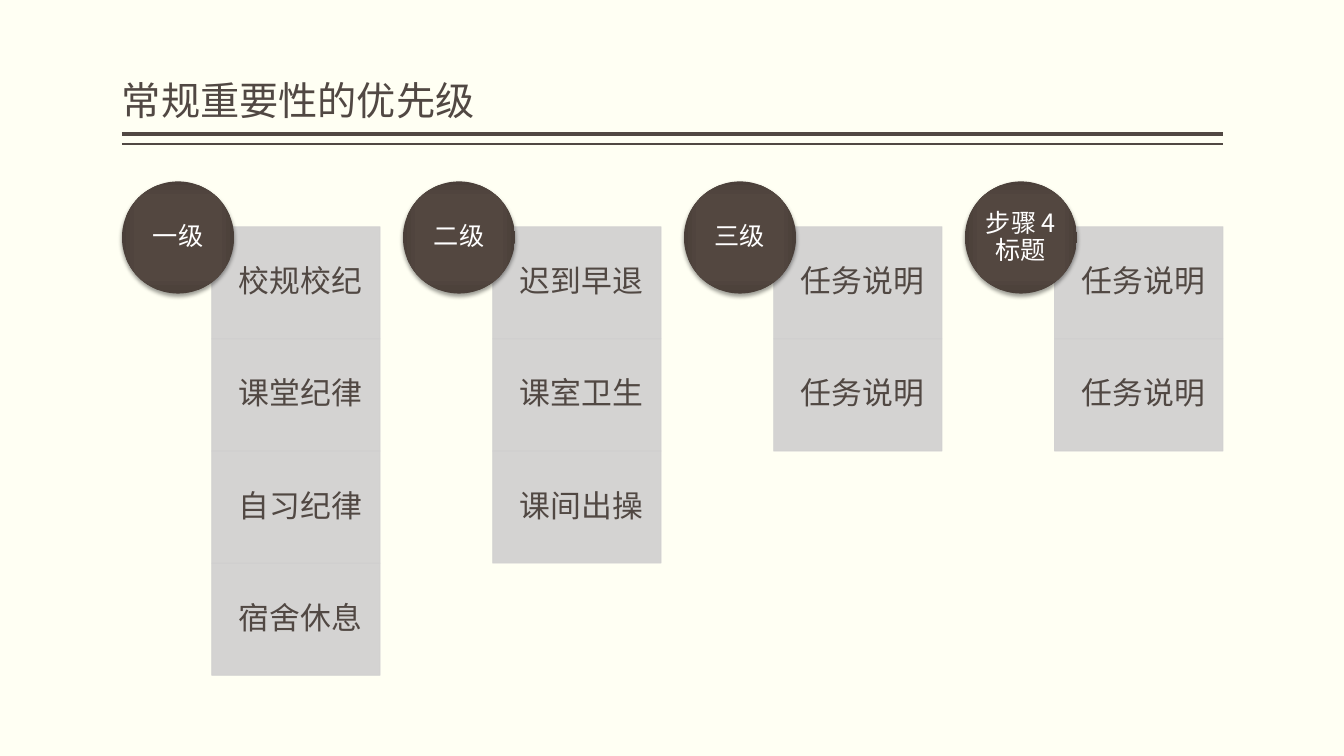
import pptx
import pptx.dml.color
import pptx.enum.shapes
import pptx.enum.text
import pptx.oxml
import pptx.oxml.ns
import pptx.util
from lxml import etree

Inches = pptx.util.Inches
RGBColor = pptx.dml.color.RGBColor
Shape = pptx.enum.shapes.MSO_SHAPE
Align = pptx.enum.text.PP_ALIGN
Anchor = pptx.enum.text.MSO_ANCHOR
qn = pptx.oxml.ns.qn

CREAM = RGBColor(0xFF, 0xFF, 0xF3)
BROWN = RGBColor(0x51, 0x48, 0x43)
GREY = RGBColor(0xD0, 0xCF, 0xCF)
WHITE = RGBColor(0xFF, 0xFF, 0xFF)
BADGE_STOPS = [
    (0, RGBColor(0x54, 0x47, 0x40)),
    (71, RGBColor(0x53, 0x47, 0x40)),
    (100, RGBColor(0x4A, 0x3F, 0x39)),
]
FONT = "Noto Sans CJK SC"

LEFT, RIGHT = 1.21, 12.13
BADGE_TOP, TASK_TOP, TASK_BOTTOM = 1.8, 2.25, 6.7
TASK_OFFSET, TASK_WIDTH = 0.89, 1.67
ROW = (TASK_BOTTOM - TASK_TOP) / 4

LEVELS = [
    ("一级", ["校规校纪", "课堂纪律", "自习纪律", "宿舍休息"]),
    ("二级", ["迟到早退", "课室卫生", "课间出操"]),
    ("三级", ["任务说明", "任务说明"]),
    ("步骤 4 标题", ["任务说明", "任务说明"]),
]


def write(shape, text, size, color, align=Align.LEFT, anchor=Anchor.MIDDLE, insets=(0, 0, 0, 0)):
    frame = shape.text_frame
    frame.word_wrap = True
    frame.vertical_anchor = anchor
    frame.margin_left, frame.margin_top, frame.margin_right, frame.margin_bottom = map(Inches, insets)
    paragraph = frame.paragraphs[0]
    paragraph.alignment = align
    paragraph.line_spacing = 0.9
    run = paragraph.add_run()
    run.text = text
    run.font.size = pptx.util.Pt(size)
    run.font.name = FONT
    run.font.color.rgb = color
    east_asian = etree.SubElement(run.font._element, qn("a:ea"))
    east_asian.set("typeface", FONT)


class PrioritySlide:
    def __init__(self, deck):
        self.slide = deck.slides.add_slide(deck.slide_layouts[6])
        self.shapes = self.slide.shapes
        self.slide.background.fill.solid()
        self.slide.background.fill.fore_color.rgb = CREAM

    def title(self, text):
        box = self.shapes.add_textbox(Inches(LEFT), Inches(0.08), Inches(RIGHT - LEFT), Inches(1.2))
        write(box, text, 28, BROWN, anchor=Anchor.BOTTOM, insets=(0, 0.05, 0, 0.05))

    def rule(self, y, weight):
        line = self.shapes.add_connector(
            pptx.enum.shapes.MSO_CONNECTOR.STRAIGHT, Inches(LEFT), Inches(y), Inches(RIGHT), Inches(y))
        line.line.color.rgb = BROWN
        line.line.width = pptx.util.Pt(weight)
        etree.SubElement(line._element.spPr, qn("a:effectLst"))

    def task(self, x, y, text):
        box = self.shapes.add_shape(Shape.RECTANGLE, Inches(x), Inches(y), Inches(TASK_WIDTH), Inches(ROW))
        box.shadow.inherit = False
        box.fill.solid()
        box.line.width = pptx.util.Pt(0.5)
        box.line.fill.solid()
        for fill in (box.fill, box.line.fill):
            fill.fore_color.rgb = GREY
        for color in box._element.spPr.iter(qn("a:srgbClr")):
            etree.SubElement(color, qn("a:alpha")).set("val", "90000")
        write(box, text, 22, BROWN, insets=(0.27, 0.17, 0.17, 0.17))

    def badge(self, x, text):
        circle = self.shapes.add_shape(Shape.OVAL, Inches(x), Inches(BADGE_TOP), Inches(ROW), Inches(ROW))
        circle.line.fill.background()
        circle.fill.solid()
        properties = circle._element.spPr
        # Gradient that darkens towards the rim
        stops = "".join(
            f'<a:gs pos="{position * 1000}"><a:srgbClr val="{color}"/></a:gs>' for position, color in BADGE_STOPS)
        gradient = pptx.oxml.parse_xml(
            f'<a:gradFill {pptx.oxml.ns.nsdecls("a")} rotWithShape="1"><a:gsLst>{stops}</a:gsLst>'
            '<a:path path="rect"><a:fillToRect l="50000" t="50000" r="50000" b="50000"/></a:path></a:gradFill>')
        properties.replace(properties.find(qn("a:solidFill")), gradient)
        # Soft shadow straight below
        circle.shadow.inherit = False
        shadow = pptx.oxml.parse_xml(
            f'<a:outerShdw {pptx.oxml.ns.nsdecls("a")} blurRad="{pptx.util.Pt(3.1)}" dist="{pptx.util.Pt(2)}"'
            ' dir="5400000" rotWithShape="0"><a:srgbClr val="000000"><a:alpha val="38000"/></a:srgbClr></a:outerShdw>')
        properties.find(qn("a:effectLst")).append(shadow)
        write(circle, text, 18, WHITE, align=Align.CENTER)


def main():
    deck = pptx.Presentation()
    deck.slide_width, deck.slide_height = Inches(13.33), Inches(7.5)
    page = PrioritySlide(deck)

    # Heading with double rule
    page.rule(1.33, 3)
    page.rule(1.43, 1)
    page.title("常规重要性的优先级")

    # Level columns, spread evenly between the margins
    column_width = TASK_OFFSET + TASK_WIDTH
    pitch = (RIGHT - LEFT - column_width) / (len(LEVELS) - 1)
    for column, (level, tasks) in enumerate(LEVELS):
        x = LEFT + column * pitch
        for row, task in enumerate(tasks):
            page.task(x + TASK_OFFSET, TASK_TOP + row * ROW, task)
        page.badge(x, level)

    deck.save("out.pptx")


if __name__ == "__main__":
    main()
